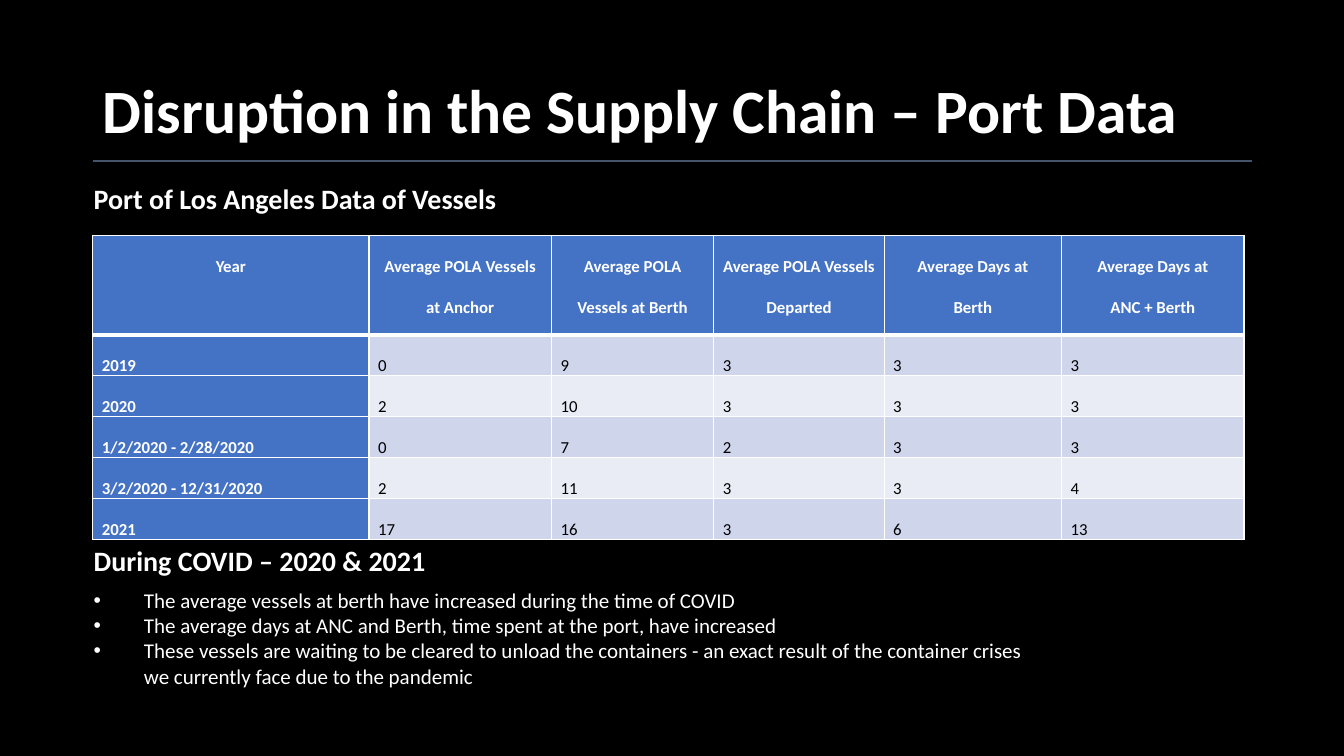
import pptx
import pptx.util
import pptx.dml.color
import pptx.enum.shapes
import pptx.enum.text
import pptx.oxml
import pptx.oxml.ns
from pptx.util import Inches

RGBColor = pptx.dml.color.RGBColor
ALIGN = pptx.enum.text.PP_ALIGN
WHITE = RGBColor(0xFF, 0xFF, 0xFF)
BLACK = RGBColor(0x00, 0x00, 0x00)
BLUE = RGBColor(0x44, 0x72, 0xC4)
BAND_DARK = RGBColor(0xCF, 0xD5, 0xEA)
BAND_LIGHT = RGBColor(0xE9, 0xEB, 0xF5)
SLATE = RGBColor(0x44, 0x54, 0x6A)

TITLE = "Disruption in the Supply Chain – Port Data"
HEADINGS = [
    ("Port of Los Angeles Data of Vessels", 1.75, 10.1),
    ("During COVID – 2020 & 2021", 5.34, 5.25),
]
ROWS = [
    ("Year", "Average POLA Vessels at Anchor", "Average POLA Vessels at Berth",
     "Average POLA Vessels\vDeparted", "Average Days at\vBerth", "Average Days at\vANC + Berth"),
    ("2019", "0", "9", "3", "3", "3"),
    ("2020", "2", "10", "3", "3", "3"),
    ("1/2/2020 - 2/28/2020", "0", "7", "2", "3", "3"),
    ("3/2/2020 - 12/31/2020", "2", "11", "3", "3", "4"),
    ("2021", "17", "16", "3", "6", "13"),
]
COL_WIDTHS = [2.74, 1.81, 1.61, 1.69, 1.76, 1.81]
HEADER_HEIGHT, ROW_HEIGHT = 0.98, 0.34
FINDINGS = [
    "The average vessels at berth have increased during the time of COVID",
    "The average days at ANC and Berth, time spent at the port, have increased",
    "These vessels are waiting to be cleared to unload the containers - an exact result "
    "of the container crises we currently face due to the pandemic",
]
LEFT, TEXT_LEFT = 0.92, 0.83


def style(p, size, color=WHITE, bold=False):
    for r in p.runs:
        r.font.name = "Calibri"
        r.font.size = pptx.util.Pt(size)
        r.font.bold = bold
        r.font.color.rgb = color


def add_text(s, lines, top, width, height, size, bold=False, bullets=False):
    tf = s.shapes.add_textbox(Inches(TEXT_LEFT), Inches(top), Inches(width), Inches(height)).text_frame
    tf.word_wrap = True
    tf.text = "\n".join(lines)
    for p in tf.paragraphs:
        if bullets:
            pPr = p._p.get_or_add_pPr()
            pPr.set("marL", str(Inches(0.5)))
            pPr.set("indent", str(-Inches(0.5)))
            font = pptx.oxml.ns.qn("a:buFont")
            pPr.makeelement(font)
            pPr.append(pPr.makeelement(font, {"typeface": "Arial"}))
            pPr.append(pPr.makeelement(pptx.oxml.ns.qn("a:buChar"), {"char": "•"}))
        style(p, size, bold=bold)


def add_border(cell, side, points):
    cell._tc.get_or_add_tcPr().append(pptx.oxml.parse_xml(
        f'<a:ln{side} {pptx.oxml.ns.nsdecls("a")} w="{pptx.util.Pt(points)}">'
        f'<a:solidFill><a:srgbClr val="{WHITE}"/></a:solidFill></a:ln{side}>'))


def fill_cell(cell, text, row, col):
    header = row == 0
    label = header or col == 0
    for side in "LRTB":
        thick = (row, side) in ((0, "B"), (1, "T"))
        add_border(cell, side, 3 if thick else 1)
    cell.fill.solid()
    cell.fill.fore_color.rgb = BLUE if label else BAND_DARK if row % 2 else BAND_LIGHT
    cell.margin_left = cell.margin_right = Inches(0.09)
    cell.margin_top = cell.margin_bottom = 0
    p = cell.text_frame.paragraphs[0]
    p.text = text
    p.alignment = ALIGN.CENTER if header else ALIGN.JUSTIFY
    p.line_spacing = 2.0
    style(p, 12, WHITE if label else BLACK, label)


def add_vessel_table(s):
    height = HEADER_HEIGHT + ROW_HEIGHT * (len(ROWS) - 1)
    table = s.shapes.add_table(len(ROWS), len(COL_WIDTHS), Inches(LEFT), Inches(2.34),
                               Inches(sum(COL_WIDTHS)), Inches(height)).table
    for column, width in zip(table.columns, COL_WIDTHS):
        column.width = Inches(width)
    for i, values in enumerate(ROWS):
        table.rows[i].height = Inches(ROW_HEIGHT if i else HEADER_HEIGHT)
        for j, text in enumerate(values):
            fill_cell(table.cell(i, j), text, i, j)


def main():
    prs = pptx.Presentation()
    prs.slide_width, prs.slide_height = Inches(13.33), Inches(7.5)
    s = prs.slides.add_slide(prs.slide_layouts[5])
    s.background.fill.solid()
    s.background.fill.fore_color.rgb = BLACK

    title = s.shapes.title
    title.left, title.top, title.width, title.height = map(Inches, (LEFT, 0.4, 11.5, 1.45))
    tf = title.text_frame
    tf.text = TITLE
    tf.auto_size = pptx.enum.text.MSO_AUTO_SIZE.NONE
    tf.vertical_anchor = pptx.enum.text.MSO_ANCHOR.MIDDLE
    p = tf.paragraphs[0]
    p.alignment = ALIGN.LEFT
    p.line_spacing = 0.9
    style(p, 44, bold=True)

    rule = s.shapes.add_connector(pptx.enum.shapes.MSO_CONNECTOR.STRAIGHT,
                                  Inches(LEFT), Inches(1.6), Inches(LEFT + 11.5), Inches(1.6))
    rule.line.color.rgb = SLATE
    rule.line.width = pptx.util.Pt(1.5)
    spPr = rule._element.spPr
    spPr.append(spPr.makeelement(pptx.oxml.ns.qn("a:effectLst")))

    add_vessel_table(s)
    for text, top, width in HEADINGS:
        add_text(s, [text], top, width, 0.44, 20, bold=True)
    add_text(s, FINDINGS, 5.78, 9.57, 1.11, 15, bullets=True)
    prs.save("out.pptx")


if __name__ == "__main__":
    main()
